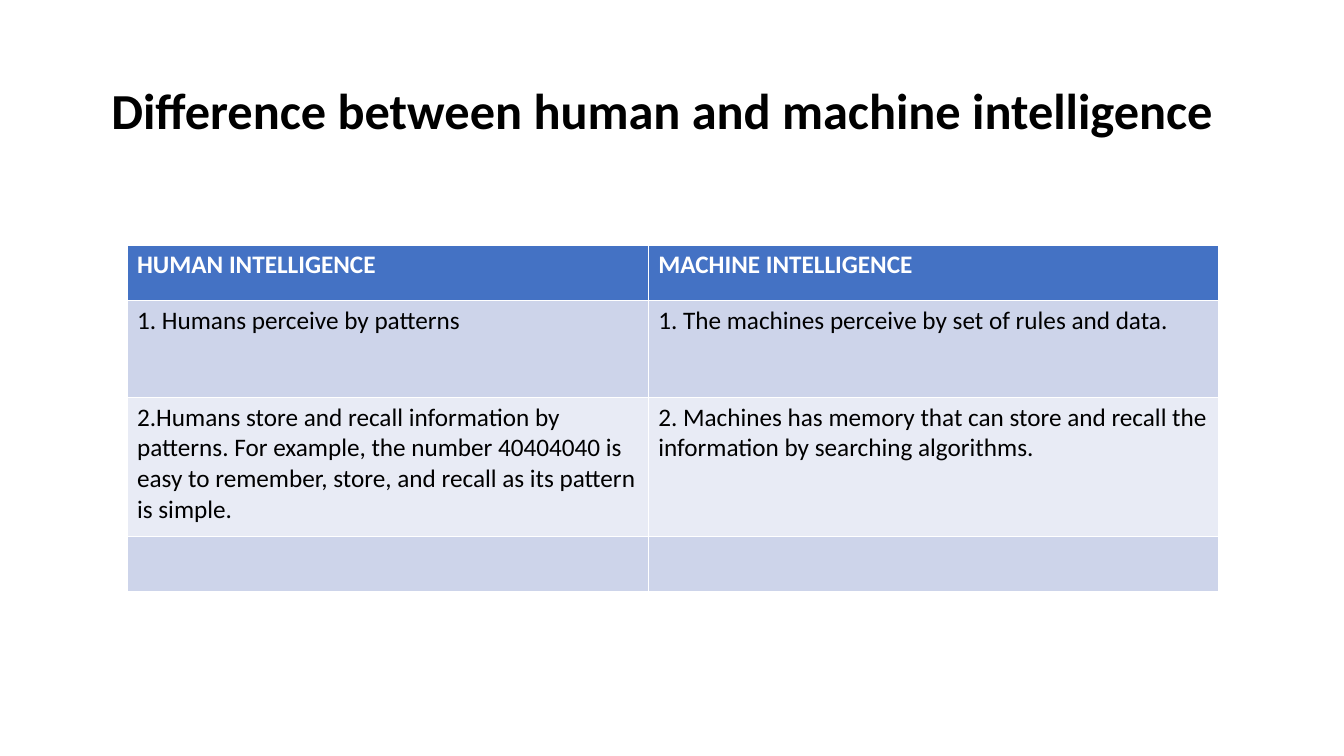
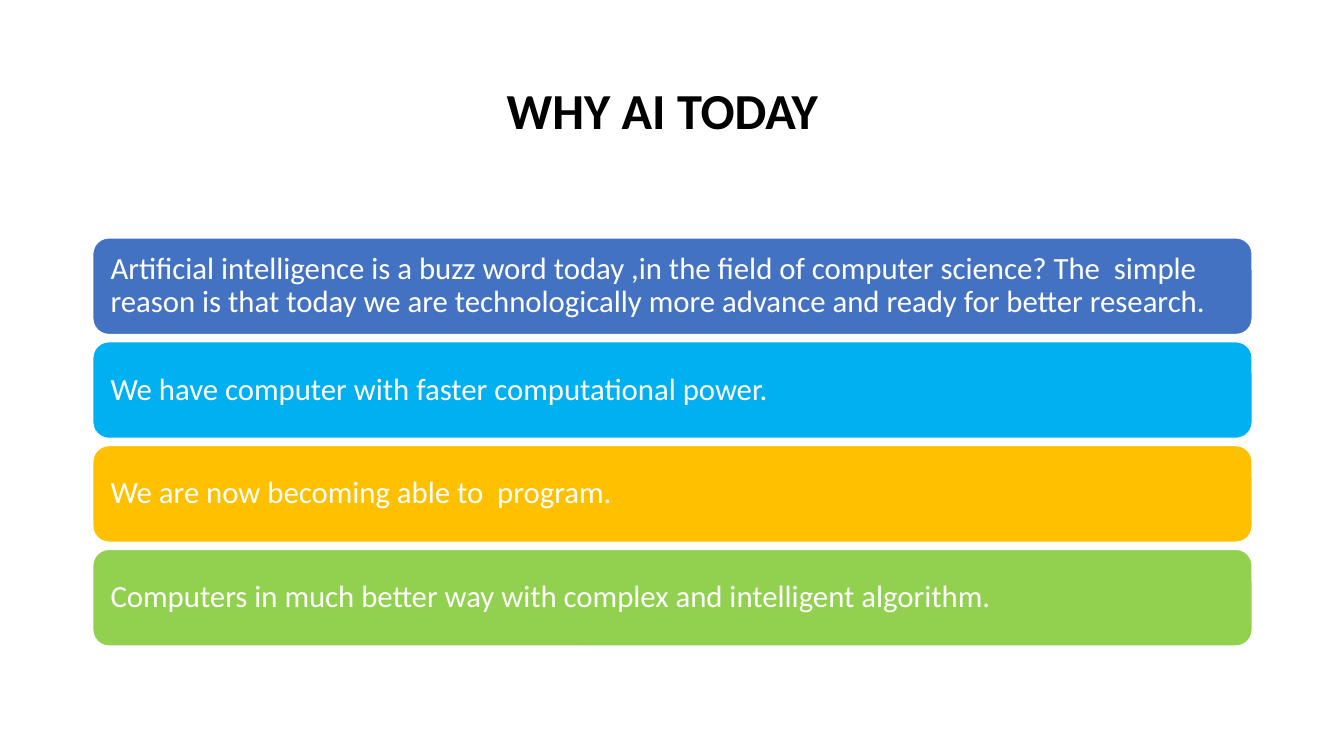
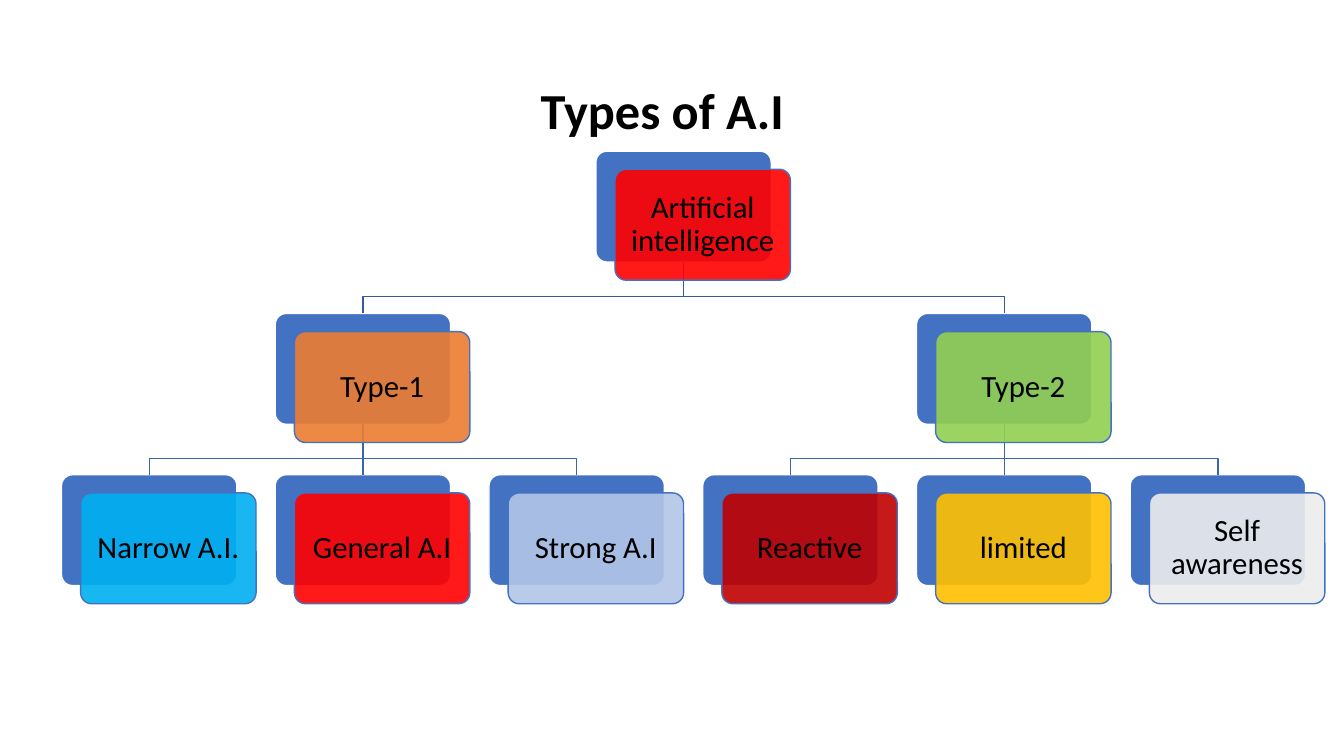
"""Build three slides on human and machine intelligence, why AI today and the types of A.I."""
from lxml.etree import SubElement
from pptx import Presentation
from pptx.dml.color import RGBColor
from pptx.enum.shapes import MSO_CONNECTOR, MSO_SHAPE
from pptx.enum.text import MSO_ANCHOR, PP_ALIGN
from pptx.oxml.ns import qn
from pptx.util import Inches, Pt

FONT = "Calibri"
BLACK, WHITE = "000000", "FFFFFF"
BLUE, SKY, AMBER, GREEN, RED = "4372C3", "00B0F0", "FFC000", "92D050", "FF0000"


def write(frame, text, size, color, bold=False, align=PP_ALIGN.LEFT, spacing=0.9):
    """Put one run of text into a text frame."""
    frame.word_wrap = True
    para = frame.paragraphs[0]
    para.alignment = align
    para.line_spacing = spacing
    span = para.add_run()
    span.text = text
    span.font.name = FONT
    span.font.size = Pt(size)
    span.font.bold = bold
    span.font.color.rgb = RGBColor.from_string(color)


def add_card(page, left, top, width, height, corner, fill, line):
    """Add a rounded rectangle with even text margins."""
    card = page.shapes.add_shape(MSO_SHAPE.ROUNDED_RECTANGLE, Inches(left), Inches(top),
                                 Inches(width), Inches(height))
    card.adjustments[0] = corner
    card.shadow.inherit = False
    card.fill.solid()
    card.fill.fore_color.rgb = RGBColor.from_string(fill)
    card.line.color.rgb = RGBColor.from_string(line)
    card.line.width = Pt(1)
    frame = card.text_frame
    frame.vertical_anchor = MSO_ANCHOR.MIDDLE
    frame.margin_left = frame.margin_right = Inches(0.13)
    frame.margin_top = frame.margin_bottom = Inches(0.12)
    return card


deck = Presentation()
deck.slide_width, deck.slide_height = Inches(13.33), Inches(7.5)

pages = []
for title in ("Difference between human and machine intelligence", "WHY AI TODAY", "Types of A.I"):
    page = deck.slides.add_slide(deck.slide_layouts[6])
    box = page.shapes.add_textbox(Inches(0.42), Inches(0.4), Inches(12.3), Inches(1.45))
    box.text_frame.vertical_anchor = MSO_ANCHOR.MIDDLE
    write(box.text_frame, title, 36, BLACK, bold=True, align=PP_ALIGN.CENTER)
    pages.append(page)
compare_page, reasons_page, types_page = pages

rows = [
    ("HUMAN INTELLIGENCE", "MACHINE INTELLIGENCE"),
    ("1. Humans perceive by patterns", "1. The machines perceive by set of rules and data."),
    ("2.Humans store and recall information by patterns. For example, the number 40404040 is "
     "easy to remember, store, and recall as its pattern is simple.",
     "2. Machines has memory that can store and recall the information by searching algorithms."),
    ("", ""),
]
row_heights = (0.55, 0.96, 1.38, 0.55)
row_fills = ("4472C4", "CDD4EA", "E8EBF5", "CDD4EA")
column_widths = (5.17, 5.66)
table = compare_page.shapes.add_table(len(rows), len(column_widths), Inches(1.26), Inches(2.43),
                                      Inches(sum(column_widths)), Inches(sum(row_heights))).table
for column, width in zip(table.columns, column_widths):
    column.width = Inches(width)
for index, (texts, height, fill) in enumerate(zip(rows, row_heights, row_fills)):
    table.rows[index].height = Inches(height)
    header = index == 0
    for cell, text in zip(table.rows[index].cells, texts):
        cell.fill.solid()
        cell.fill.fore_color.rgb = RGBColor.from_string(fill)
        if text:
            write(cell.text_frame, text, 18, WHITE if header else BLACK, bold=header, spacing=1.0)

reasons = [
    ("Artificial intelligence is a buzz word today ,in the field of computer science? The  simple "
     "reason is that today we are technologically more advance and ready for better research.", BLUE),
    ("We have computer with faster computational power.", SKY),
    ("We are now becoming able to  program.", AMBER),
    ("Computers in much better way with complex and intelligent algorithm.", GREEN),
]
for index, (text, fill) in enumerate(reasons):
    bar = add_card(reasons_page, 0.92, 2.36 + 1.03 * index, 11.5, 0.96, 0.167, fill, WHITE)
    write(bar.text_frame, text, 22, WHITE)

NODE_WIDTH, NODE_HEIGHT, NODE_CORNER = 1.74, 1.1, 0.1
FIRST_LEFT, COLUMN_STEP = 0.61, 2.12
LEVEL_TOPS = (1.5, 3.11, 4.71)
FRONT_RIGHT, FRONT_DOWN = 0.19, 0.18
BUS_DROP = 0.34
LINK_COLORS = ("345A99", "3A66B1")

nodes = [
    ("Artificial intelligence", 0, 2.5, RED, None),
    ("Type-1", 1, 1, "ED7D31", "Artificial intelligence"),
    ("Type-2", 1, 4, GREEN, "Artificial intelligence"),
    ("Narrow A.I.", 2, 0, SKY, "Type-1"),
    ("General A.I", 2, 1, RED, "Type-1"),
    ("Strong A.I", 2, 2, "B3C6E7", "Type-1"),
    ("Reactive", 2, 3, "C00000", "Type-2"),
    ("limited", 2, 4, AMBER, "Type-2"),
    ("Self awareness", 2, 5, "EDEDED", "Type-2"),
]
backs = {}
for name, level, column, fill, parent in nodes:
    backs[name] = add_card(types_page, FIRST_LEFT + COLUMN_STEP * column, LEVEL_TOPS[level],
                           NODE_WIDTH, NODE_HEIGHT, NODE_CORNER, BLUE, WHITE)

for name, level, column, fill, parent in nodes:
    if parent is None:
        continue
    start, end = backs[parent], backs[name]
    start_x, start_y = start.left + start.width // 2, start.top + start.height
    end_x, end_y = end.left + end.width // 2, end.top
    if start_x == end_x:
        link = types_page.shapes.add_connector(MSO_CONNECTOR.STRAIGHT, start_x, start_y, end_x, end_y)
        link.begin_connect(start, 2)
        link.end_connect(end, 0)
        SubElement(link.element.spPr, qn("a:effectLst"))
    else:
        bus_y = start_y + Inches(BUS_DROP)
        outline = types_page.shapes.build_freeform(start_x, start_y)
        outline.add_line_segments([(start_x, bus_y), (end_x, bus_y), (end_x, end_y)], close=False)
        link = outline.convert_to_shape()
        link.fill.background()
        link.shadow.inherit = False
    link.line.color.rgb = RGBColor.from_string(LINK_COLORS[level - 1])
    link.line.width = Pt(1)

for name, level, column, fill, parent in nodes:
    front = add_card(types_page, FIRST_LEFT + COLUMN_STEP * column + FRONT_RIGHT,
                     LEVEL_TOPS[level] + FRONT_DOWN, NODE_WIDTH, NODE_HEIGHT, NODE_CORNER, fill, BLUE)
    fill_color = front.element.spPr.find(qn("a:solidFill")).find(qn("a:srgbClr"))
    SubElement(fill_color, qn("a:alpha"), val="90000")
    front.text_frame.margin_left = front.text_frame.margin_right = Inches(0.12)
    write(front.text_frame, name, 22, BLACK, align=PP_ALIGN.CENTER)

deck.save("out.pptx")
